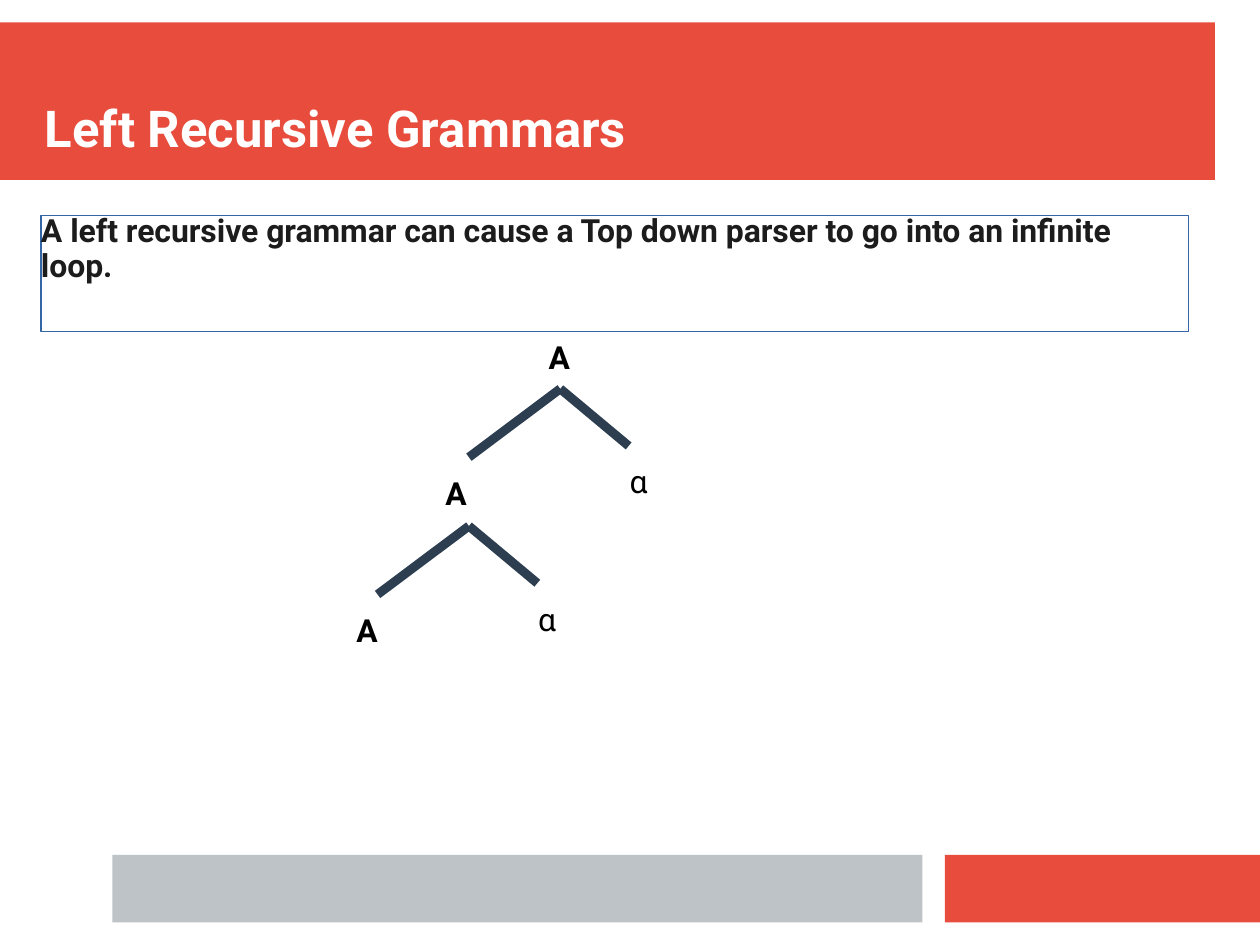
from pptx import Presentation
from pptx.dml.color import RGBColor
from pptx.enum.shapes import MSO_CONNECTOR as Connector, MSO_SHAPE as Shape
from pptx.enum.text import MSO_ANCHOR as Anchor, MSO_AUTO_SIZE as AutoSize, PP_ALIGN as Align
from pptx.oxml.ns import qn
from pptx.util import Cm, Pt
from lxml.etree import SubElement

TITLE = "Left Recursive Grammars"
STATEMENT = "A left recursive grammar can cause a Top down parser to go into an infinite loop."
COLORS = {"red": "E74C3C", "gray": "BDC3C7", "branch": "2C3E50", "frame": "3465A4",
          "white": "FFFFFF", "ink": "1C1C1C", "black": "000000"}
FONT = "Roboto"

BARS = [("red", 0, 0.5, 27, 3.5), ("red", 21, 19, 7, 1.5), ("gray", 2.5, 19, 18, 1.5)]
TITLE_BOX = (1, 1, 26, 2.5)
STATEMENT_BOX = (0.91, 4.78, 25.5, 2.59)
NODES = [("A", 11.94, 7.37), ("A", 9.65, 10.41), ("α", 13.74, 10.13),
         ("A", 7.67, 13.44), ("α", 11.71, 13.21)]
NODE_SIZE = (1.02, 1.09)
ROOT_APEX = (12.45, 8.64)
LEVELS = 2
LEVEL_STEP = (-2.03, 3.05)
BRANCHES = [(-2.03, 1.52), (1.52, 1.27)]


def rgb(name):
    return RGBColor.from_string(COLORS[name])


def cms(values):
    return [Cm(value) for value in values]


def style(paragraph, size, color, bold):
    paragraph.alignment = Align.LEFT
    for run in paragraph.runs:
        run.font.name = FONT
        run.font.size = Pt(size)
        run.font.bold = bold
        run.font.color.rgb = rgb(color)


def fill_placeholder(holder, text, box, anchor, size, color):
    holder.left, holder.top, holder.width, holder.height = cms(box)
    frame = holder.text_frame
    frame.text = text
    frame.auto_size = AutoSize.NONE
    frame.vertical_anchor = anchor
    frame.margin_left = frame.margin_top = frame.margin_right = frame.margin_bottom = 0
    style(frame.paragraphs[0], size, color, True)
    return frame.paragraphs[0]


def add_bar(slide, color, *box):
    bar = slide.shapes.add_shape(Shape.RECTANGLE, *cms(box))
    bar.shadow.inherit = False
    bar.fill.solid()
    bar.fill.fore_color.rgb = rgb(color)
    bar.line.fill.background()
    slide.shapes.title._element.addprevious(bar._element)


def add_branch(slide, x, y, dx, dy):
    branch = slide.shapes.add_connector(Connector.STRAIGHT, *cms((x, y, x + dx, y + dy)))
    branch.line.color.rgb = rgb("branch")
    branch.line.width = Pt(5.67)
    SubElement(branch._element.spPr, qn("a:effectLst"))


def add_node(slide, symbol, x, y):
    node = slide.shapes.add_textbox(*cms((x, y, *NODE_SIZE)))
    node.text_frame.word_wrap = True
    node.text_frame.text = symbol
    style(node.text_frame.paragraphs[0], 20, "black", symbol == "A")


def main():
    deck = Presentation()
    deck.slide_width, deck.slide_height = Cm(28), Cm(21)
    slide = deck.slides.add_slide(deck.slide_layouts[1])

    for bar in BARS:
        add_bar(slide, *bar)

    fill_placeholder(slide.shapes.title, TITLE, TITLE_BOX, Anchor.BOTTOM, 32, "white")
    body = slide.placeholders[1]
    statement = fill_placeholder(body, STATEMENT, STATEMENT_BOX, Anchor.TOP, 20.1, "ink")
    body.line.color.rgb = rgb("frame")
    body.line.width = Pt(0.75)
    statement.line_spacing = 0.9
    statement.space_before = Pt(0)
    statement.space_after = Pt(11.4)
    properties = statement._p.get_or_add_pPr()
    properties.set("marL", "0")
    properties.set("indent", "0")
    SubElement(properties, qn("a:buNone"))

    for level in range(LEVELS):
        x, y = (start + level * step for start, step in zip(ROOT_APEX, LEVEL_STEP))
        for dx, dy in BRANCHES:
            add_branch(slide, x, y, dx, dy)
    for node in NODES:
        add_node(slide, *node)

    deck.save("out.pptx")


if __name__ == "__main__":
    main()
